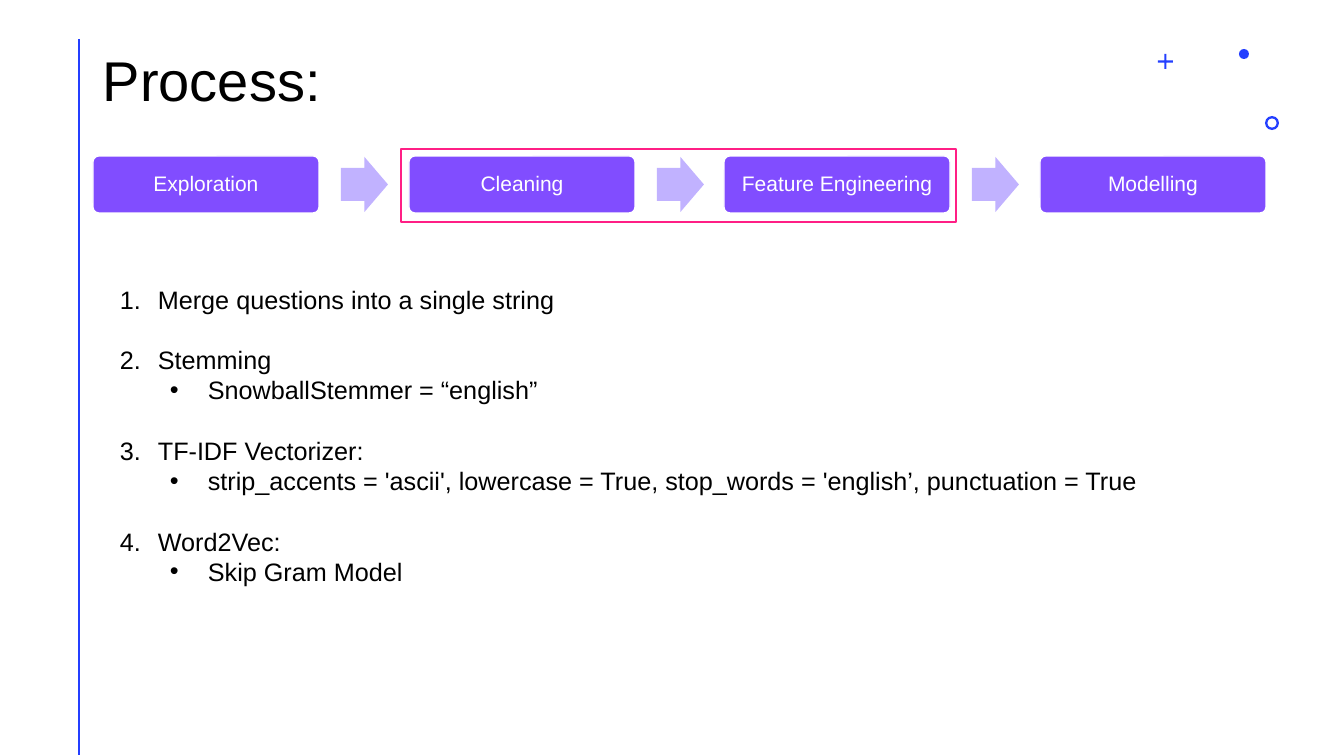
from dataclasses import dataclass

from lxml.etree import SubElement
from pptx import Presentation
from pptx.dml.color import RGBColor
from pptx.enum.shapes import MSO_CONNECTOR, MSO_SHAPE
from pptx.enum.text import MSO_ANCHOR, PP_ALIGN
from pptx.oxml.ns import qn
from pptx.shapes.autoshape import Shape
from pptx.slide import Slide
from pptx.text.text import TextFrame, _Paragraph
from pptx.util import Emu, Pt

BLUE = RGBColor(0x24, 0x3F, 0xFF)
PURPLE = RGBColor(0x81, 0x4D, 0xFF)
LILAC = RGBColor(0xC1, 0xB2, 0xFF)
PINK = RGBColor(0xFF, 0x1F, 0x85)
WHITE = RGBColor(0xFF, 0xFF, 0xFF)
BLACK = RGBColor(0, 0, 0)

FONT = "Arial"
PX_PER_INCH = 100.8
STEP_LEFT, STEP_TOP, STEP_WIDTH, STEP_HEIGHT = 93, 156, 226, 57
STEP_PITCH = 947 / 3
ARROW_OFFSET = 248
LINE_HEIGHT = Pt(21.6)


@dataclass(frozen=True)
class Box:
    """A rectangle in px."""

    left: int
    top: int
    width: int
    height: int


@dataclass(frozen=True)
class Ornament:
    """A small decorative mark."""

    kind: MSO_SHAPE
    box: Box
    adjustments: tuple[float, ...] = ()


@dataclass(frozen=True)
class Technique:
    """A numbered technique with its settings."""

    title: str
    settings: tuple[str, ...] = ()


ORNAMENTS = (
    Ornament(MSO_SHAPE.CROSS, Box(1158, 54, 15, 15), (0.43,)),
    Ornament(MSO_SHAPE.DONUT, Box(1265, 116, 14, 14), (0.17,)),
    Ornament(MSO_SHAPE.OVAL, Box(1239, 49, 10, 10)),
)
STEPS = ("Exploration", "Cleaning", "Feature Engineering", "Modelling")
TECHNIQUES = (
    Technique("Merge questions into a single string"),
    Technique("Stemming", ("SnowballStemmer = “english”",)),
    Technique(
        "TF-IDF Vectorizer:",
        ("strip_accents = 'ascii', lowercase = True, stop_words = 'english’, punctuation = True",),
    ),
    Technique("Word2Vec:", ("Skip Gram Model",)),
)


def px(length: int) -> Emu:
    """Turn px into EMU."""
    return Emu(round(length * 914400 / PX_PER_INCH))


def place(box: Box) -> tuple[Emu, Emu, Emu, Emu]:
    """Give the position and size of a box in EMU."""
    return px(box.left), px(box.top), px(box.width), px(box.height)


def write(
    paragraph: _Paragraph,
    text: str,
    *,
    size: int,
    color: RGBColor = BLACK,
    align: PP_ALIGN = PP_ALIGN.LEFT,
    spacing: float | Pt = 0.9,
    before: Pt = Pt(0),
) -> None:
    """Fill a paragraph with formatted text."""
    paragraph.alignment = align
    paragraph.line_spacing = spacing
    paragraph.space_before = before
    run = paragraph.add_run()
    run.text = text
    run.font.name = FONT
    run.font.size = Pt(size)
    run.font.color.rgb = color


def add_text_frame(slide: Slide, box: Box, anchor: MSO_ANCHOR) -> TextFrame:
    """Add a wrapping text box."""
    frame = slide.shapes.add_textbox(*place(box)).text_frame
    frame.word_wrap = True
    frame.vertical_anchor = anchor
    return frame


def add_figure(
    slide: Slide,
    kind: MSO_SHAPE,
    box: Box,
    *,
    fill: RGBColor | None = None,
    line: RGBColor | None = None,
    weight: int = 1,
    adjustments: tuple[float, ...] = (),
) -> Shape:
    """Add a preset shape with flat colours."""
    figure = slide.shapes.add_shape(kind, *place(box))
    figure.shadow.inherit = False
    for index, value in enumerate(adjustments):
        figure.adjustments[index] = value
    if fill is None:
        figure.fill.background()
    else:
        figure.fill.solid()
        figure.fill.fore_color.rgb = fill
    if line is None:
        figure.line.fill.background()
    else:
        figure.line.color.rgb = line
        figure.line.width = Pt(weight)
    return figure


def add_margin_rule(slide: Slide) -> None:
    """Draw the vertical rule at the left."""
    rule = slide.shapes.add_connector(MSO_CONNECTOR.STRAIGHT, px(79), px(39), px(79), px(755))
    rule.line.color.rgb = BLUE
    rule.line.width = Pt(2)
    SubElement(rule._element.spPr, qn("a:effectLst"))


def add_process(slide: Slide) -> None:
    """Draw the steps and the arrows between them."""
    for index, step in enumerate(STEPS):
        left = round(STEP_LEFT + index * STEP_PITCH)
        card = add_figure(
            slide, MSO_SHAPE.ROUNDED_RECTANGLE, Box(left, STEP_TOP, STEP_WIDTH, STEP_HEIGHT),
            fill=PURPLE, line=WHITE, adjustments=(0.1,),
        )
        frame = card.text_frame
        frame.word_wrap = True
        frame.vertical_anchor = MSO_ANCHOR.MIDDLE
        frame.margin_left = frame.margin_right = px(8)
        write(frame.paragraphs[0], step, size=15, color=WHITE, align=PP_ALIGN.CENTER)
        if index < len(STEPS) - 1:
            arrow_box = Box(left + ARROW_OFFSET, STEP_TOP + 1, 47, 55)
            add_figure(slide, MSO_SHAPE.RIGHT_ARROW, arrow_box, fill=LILAC, adjustments=(0.6, 0.5))


def add_list_marker(paragraph: _Paragraph, level: int) -> None:
    """Number the top level and bullet the next."""
    paragraph.level = level
    properties = paragraph._p.get_or_add_pPr()
    properties.set("marL", str(px(88 if level else 38)))
    properties.set("indent", str(-px(38)))
    SubElement(properties, qn("a:buFont"), typeface=FONT)
    if level:
        SubElement(properties, qn("a:buChar"), char="•")
    else:
        SubElement(properties, qn("a:buAutoNum"), type="arabicPeriod")


def add_techniques(slide: Slide) -> None:
    """Write the numbered techniques and their settings."""
    frame = add_text_frame(slide, Box(110, 279, 1155, 316), MSO_ANCHOR.TOP)
    for index, technique in enumerate(TECHNIQUES):
        for row, text in enumerate((technique.title, *technique.settings)):
            first = index == row == 0
            paragraph = frame.paragraphs[0] if first else frame.add_paragraph()
            add_list_marker(paragraph, min(row, 1))
            before = LINE_HEIGHT if index and not row else Pt(0)
            write(paragraph, text, size=18, spacing=LINE_HEIGHT, before=before)


def main() -> None:
    """Build and save the slide."""
    deck = Presentation()
    deck.slide_width, deck.slide_height = px(1344), px(756)
    slide = deck.slides.add_slide(deck.slide_layouts[6])
    add_margin_rule(slide)
    for ornament in ORNAMENTS:
        add_figure(slide, ornament.kind, ornament.box, fill=BLUE, adjustments=ornament.adjustments)
    title = add_text_frame(slide, Box(93, 10, 1159, 146), MSO_ANCHOR.MIDDLE)
    write(title.paragraphs[0], "Process:", size=40)
    add_process(slide)
    add_figure(slide, MSO_SHAPE.RECTANGLE, Box(401, 149, 555, 73), line=PINK, weight=2)
    add_techniques(slide)
    deck.save("out.pptx")


if __name__ == "__main__":
    main()
